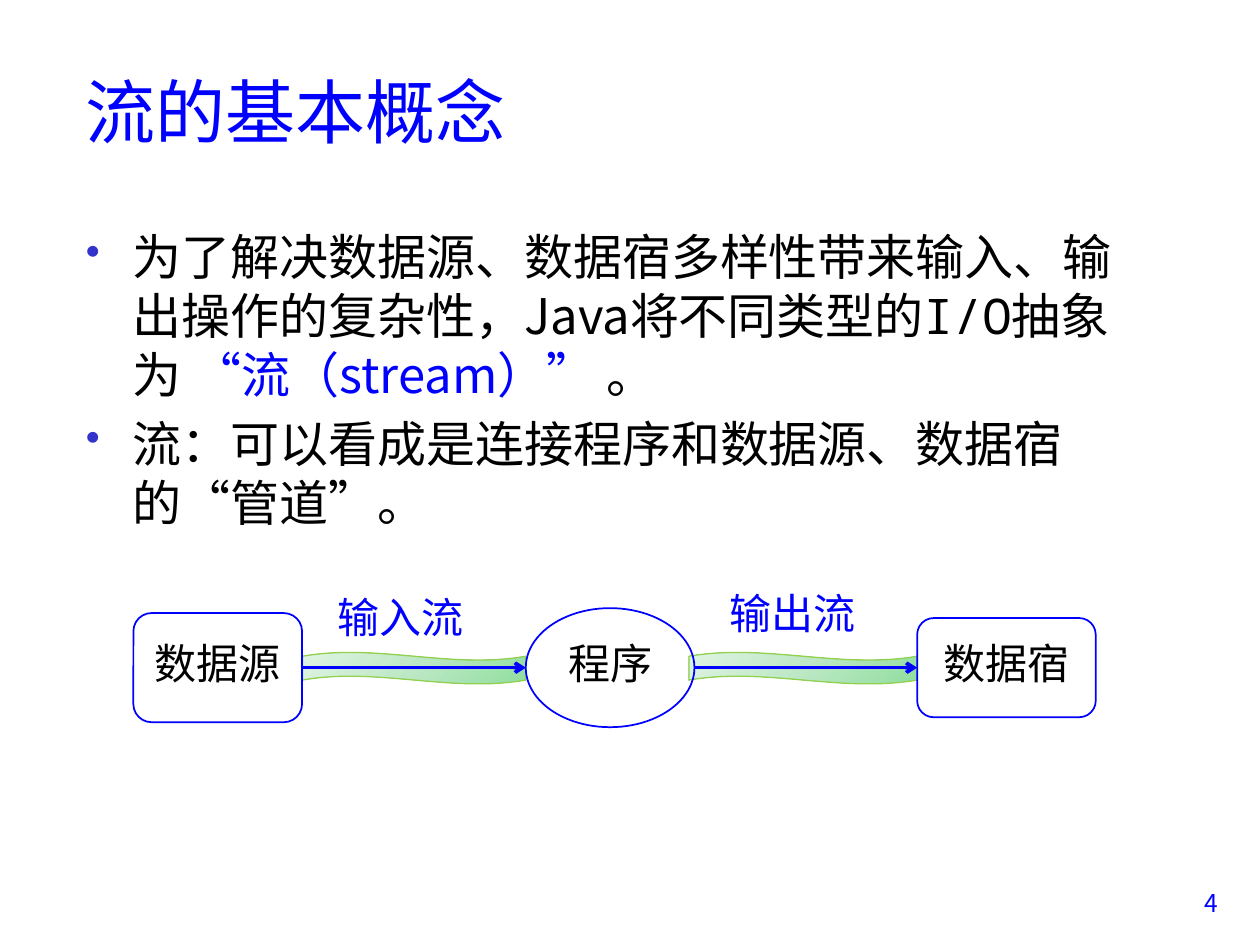
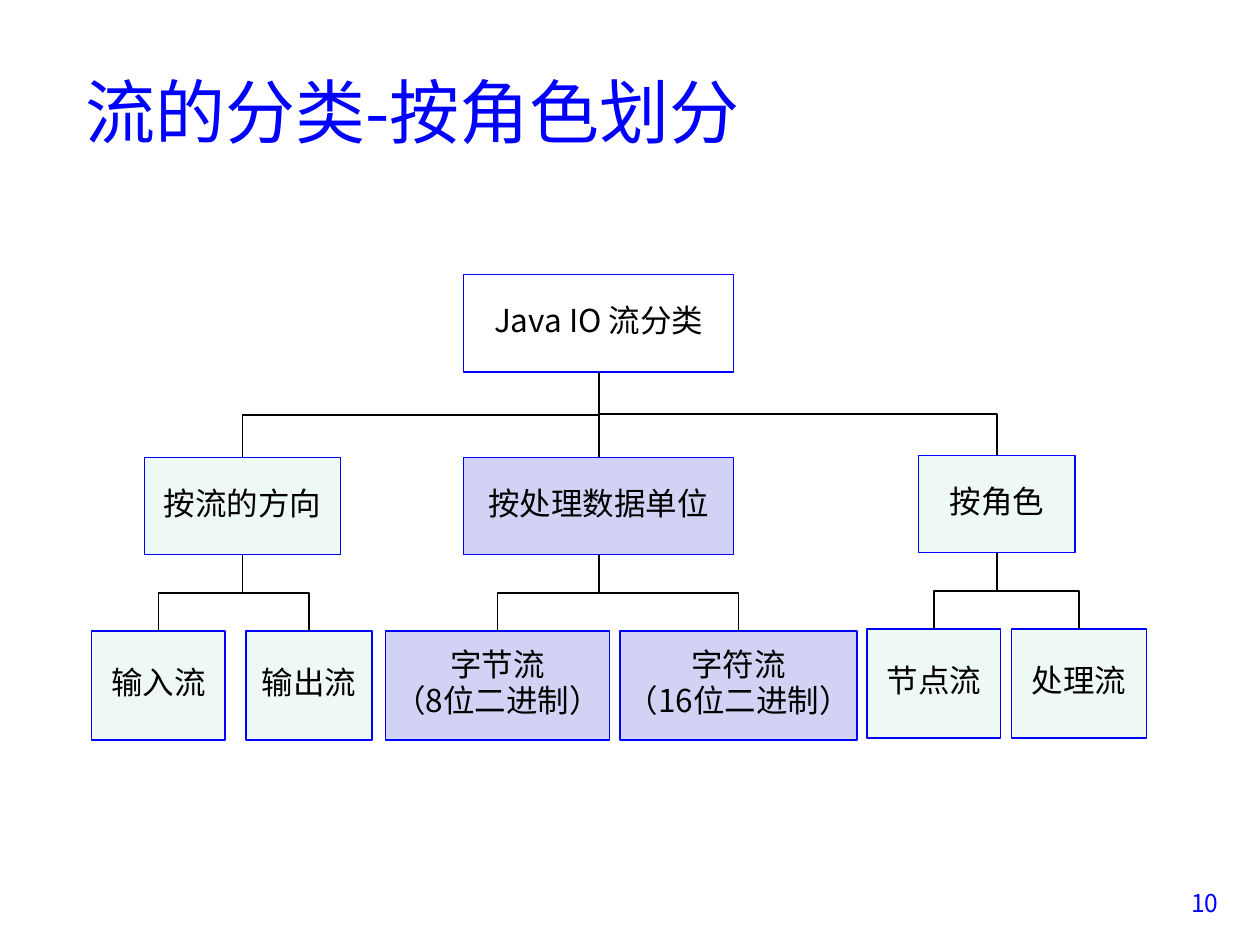
"""Build two slides on Java streams: the basic idea and the class tree."""
from copy import deepcopy

from lxml.etree import SubElement as Sub
from pptx import Presentation
from pptx.dml.color import RGBColor
from pptx.enum.shapes import MSO_CONNECTOR as Link, MSO_SHAPE as Form
from pptx.enum.text import MSO_ANCHOR as Anchor, PP_ALIGN as Align
from pptx.oxml.ns import qn
from pptx.util import Cm, Pt

BLUE = RGBColor(0x00, 0x00, 0xFF)
BLACK = RGBColor(0x00, 0x00, 0x00)
LIME = RGBColor(0x92, 0xD0, 0x50)
MINT = RGBColor(0xEE, 0xF9, 0xF4)
LILAC = RGBColor(0xD2, 0xD2, 0xF4)
DOT = RGBColor(0x33, 0x33, 0xCC)
FADE = [
    (0, RGBColor(0x91, 0xDE, 0xA0)),
    (0.5, RGBColor(0xBD, 0xE8, 0xC5)),
    (1, RGBColor(0xDF, 0xF3, 0xE3)),
]
SANS, MONO = "Noto Sans CJK SC", "Noto Sans Mono"
HANG = Cm(0.95)

POINTS = [
    [
        ("为了解决数据源、数据宿多样性带来输入、输出操作的复杂性，Java将不同类型的", SANS, BLACK),
        ("I/O", MONO, BLACK),
        ("抽象为 ", SANS, BLACK),
        ("“流（stream）”", SANS, BLUE),
        (" 。", SANS, BLACK),
    ],
    [("流：可以看成是连接程序和数据源、数据宿的“管道”。", SANS, BLACK)],
]

AXIS = 13.46
STOPS = [
    ("数据源", Form.ROUNDED_RECTANGLE, 2.69, 3.4, 2.2),
    ("程序", Form.OVAL, 10.6, 3.4, 2.4),
    ("数据宿", Form.ROUNDED_RECTANGLE, 18.49, 3.6, 2),
]
FLOWS = [
    ("输入流", 6.55, 11.99, 6.1, 4.5),
    ("输出流", 14.45, 11.91, 13.89, 4.6),
]

ROWS = [(5.54, 1.96), (9.22, 1.96), (12.72, 2.2)]
ROOT = ("Java IO 流分类", 9.35, 5.44)
TREE = [
    (("按流的方向", 2.92, 3.94), MINT, 0,
     [("输入流", 1.85, 2.69), ("输出流", 4.96, 2.54)]),
    (("按处理数据单位", 9.35, 5.44), LILAC, 0,
     [("字节流\n（8位二进制）", 7.77, 4.52), ("字符流\n（16位二进制）", 12.5, 4.78)]),
    (("按角色", 18.52, 3.15), MINT, 0.04,
     [("节点流", 17.48, 2.69), ("处理流", 20.39, 2.72)]),
]


def style(run, size, color, font=SANS):
    run.font.size, run.font.name = Pt(size), font
    run.font.color.rgb = color
    Sub(run.font._element, qn("a:ea"), typeface=font)


def space(par, size, tight=True, hang=True):
    if tight:
        par.line_spacing = 0.8
    par.space_before = Pt(size * 0.2)
    prop = par._p.get_or_add_pPr()
    if hang:
        prop.set("marL", str(HANG))
        prop.set("indent", str(-HANG))
    return prop


def write(slide, text, box, size, font=SANS, wrap=True):
    frame = slide.shapes.add_textbox(*map(Cm, box)).text_frame
    frame.word_wrap = wrap
    frame.text = text
    style(frame.paragraphs[0].runs[0], size, BLUE, font)
    return frame


def node(slide, form, box, text, size, fill=None, width=0.75):
    shape = slide.shapes.add_shape(form, *map(Cm, box))
    shape.shadow.inherit = False
    if fill is None:
        shape.fill.background()
    else:
        shape.fill.solid()
        shape.fill.fore_color.rgb = fill
    shape.line.color.rgb, shape.line.width = BLUE, Pt(width)
    frame = shape.text_frame
    frame.word_wrap, frame.vertical_anchor = True, Anchor.MIDDLE
    frame.text = text
    for par in frame.paragraphs:
        par.alignment = Align.CENTER
        space(par, size)
        style(par.runs[0], size, BLACK)
    if form == Form.OVAL or "\n" in text:
        frame.margin_left = frame.margin_right = 0
    if "\n" in text:
        frame.margin_top = frame.margin_bottom = 0
    return shape


def link(slide, kind, ends, color, width):
    line = slide.shapes.add_connector(kind, *map(Cm, ends))
    line.line.color.rgb, line.line.width = color, Pt(width)
    Sub(line._element.spPr, qn("a:effectLst"))
    return line


def bend(slide, top, low):
    x1, y1 = top.left + top.width / 2, top.top + top.height
    x2, y2 = low.left + low.width / 2, low.top
    mid, axis = (x1 + x2) / 2, (y1 + y2) / 2
    half, rise = (y2 - y1) / 2, abs(x2 - x1) / 2
    right = x2 > x1
    side = -half if right else half
    ends = [v / Cm(1) for v in (mid - side, axis - rise, mid + side, axis + rise)]
    line = link(slide, Link.ELBOW, ends, BLACK, 1)
    turn = 270 if right else 90
    line._element.spPr.find(qn("a:xfrm")).set("rot", str(turn * 60000))


def pipe(slide, left, width):
    wave = slide.shapes.add_shape(
        Form.WAVE, Cm(left), Cm(AXIS - 0.31), Cm(width), Cm(0.64))
    wave.shadow.inherit = False
    wave.fill.gradient()
    wave.fill.gradient_angle = 135
    stops = wave._element.spPr.find(".//" + qn("a:gsLst"))
    stops.insert(1, deepcopy(stops[0]))
    for stop, (place, color) in zip(wave.fill.gradient_stops, FADE):
        stop.position, stop.color.rgb = place, color
    wave.line.color.rgb, wave.line.width = LIME, Pt(0.75)


def page(deck, title, number):
    slide = deck.slides.add_slide(deck.slide_layouts[6])
    head = write(slide, title, (1.48, 0.64, 21.6, 3.18), 40)
    head.vertical_anchor = Anchor.MIDDLE
    foot = write(slide, number, (23.11, 17.78, 1.7, 1.27), 14)
    foot.paragraphs[0].alignment = Align.RIGHT
    return slide


def points(slide):
    box = slide.shapes.add_textbox(Cm(1.48), Cm(4.45), Cm(21.6), Cm(12.9))
    frame = box.text_frame
    frame.word_wrap = True
    for i, parts in enumerate(POINTS):
        par = frame.add_paragraph() if i else frame.paragraphs[0]
        prop = space(par, 28, tight=False)
        Sub(Sub(prop, qn("a:buClr")), qn("a:srgbClr"), val=str(DOT))
        Sub(prop, qn("a:buSzPct"), val="85000")
        Sub(prop, qn("a:buChar"), char="•")
        for text, font, color in parts:
            run = par.add_run()
            run.text = text
            style(run, 28, color, font)


def flow(slide):
    for _, _, _, left, width in FLOWS:
        pipe(slide, left, width)
    for text, form, left, width, height in STOPS:
        node(slide, form, (left, AXIS - height / 2, width, height), text, 24, width=1)
    for i, (text, left, top, _, _) in enumerate(FLOWS):
        frame = write(slide, text, (left, top, 3.07, 1.09), 24, MONO, False)
        space(frame.paragraphs[0], 24, hang=False)
        start = STOPS[i][2] + STOPS[i][3]
        ends = (start, AXIS, STOPS[i + 1][2], AXIS)
        line = link(slide, Link.STRAIGHT, ends, BLUE, 2)
        Sub(line._element.spPr.find(qn("a:ln")), qn("a:tailEnd"), type="arrow")


def tree(slide):
    def put(item, row, fill=None, lift=0):
        text, left, width = item
        top, height = ROWS[row]
        return node(slide, Form.RECTANGLE, (left, top - lift, width, height),
                    text, 18, fill)

    root = put(ROOT, 0)
    for item, fill, lift, kids in TREE:
        branch = put(item, 1, fill, lift)
        bend(slide, root, branch)
        for kid in kids:
            bend(slide, branch, put(kid, 2, fill, lift))


deck = Presentation()
deck.slide_width, deck.slide_height = Cm(25.4), Cm(19.05)
first = page(deck, "流的基本概念", "4")
points(first)
flow(first)
tree(page(deck, "流的分类-按角色划分", "10"))
deck.save("out.pptx")
